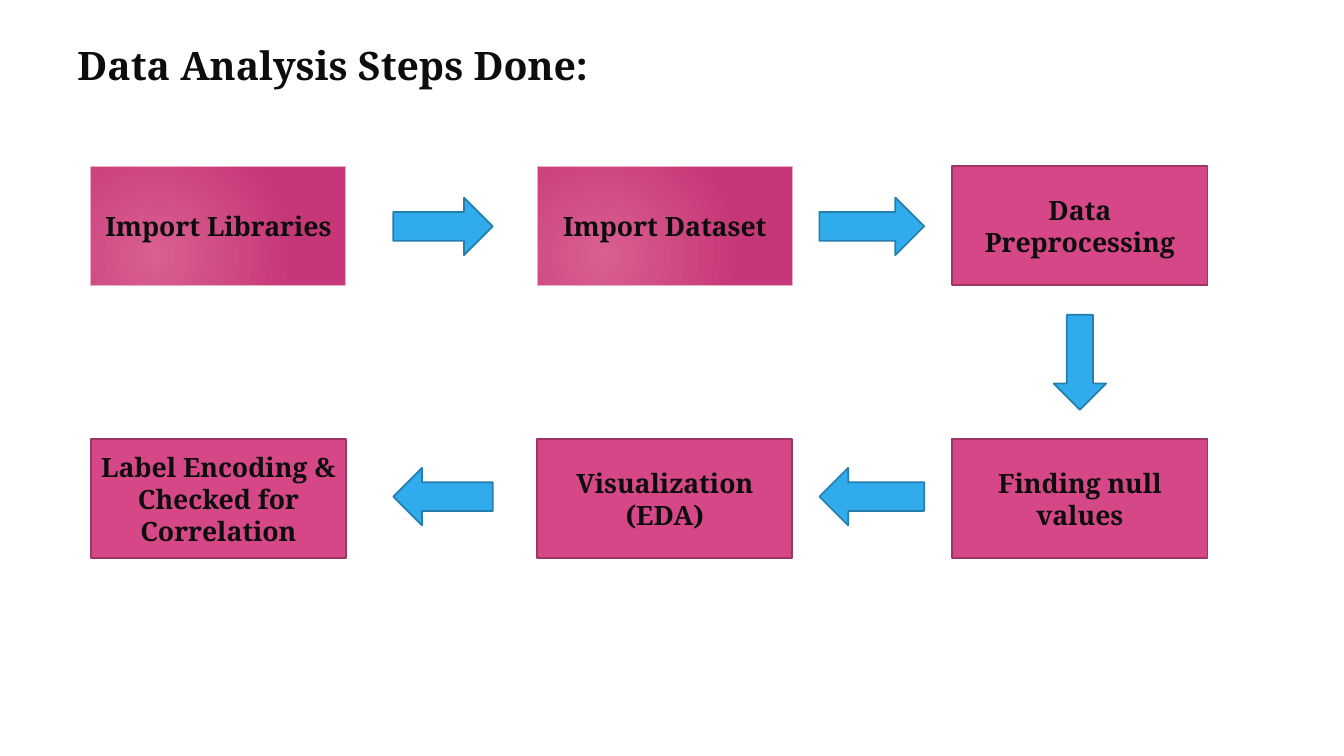
import pptx
import pptx.dml.color
import pptx.enum.shapes
import pptx.enum.text
import pptx.util
from lxml import etree

Cm, Pt = pptx.util.Cm, pptx.util.Pt
MSO = pptx.enum.shapes.MSO_SHAPE

TITLE = "Data Analysis Steps Done:"
ROWS = [
    (4.19, 4.98, MSO.RIGHT_ARROW,
     ["Import Libraries", "Import Dataset", "Data Preprocessing"]),
    (11.07, 11.79, MSO.LEFT_ARROW,
     ["Label Encoding & Checked for Correlation", "Visualization\n(EDA)",
      "Finding null values"]),
]
GRADIENT_STEPS = ["Import Libraries", "Import Dataset"]
BOX_LEFTS = [2.29, 13.54, 24.0]
BOX_W, BOX_H = 6.43, 3.0
ARROWS = [(9.91, 2.51), (20.65, 2.64)]
ARROW_H = 1.45
DOWN_W, DOWN_H = 1.32, 2.39

FONT, INK = "Noto Serif", "0D0D0D"
PINK, PINK_LINE, PALE_LINE = "D64787", "9E3564", "E8B1C3"
GLOW, DEEP = "D95F92", "C63777"
BLUE, BLUE_LINE = "30ACEC", "247FAF"


def rgb(value):
    return pptx.dml.color.RGBColor.from_string(value)


def set_text(tf, text, size, align):
    tf.word_wrap = True
    tf.text = text
    for p in tf.paragraphs:
        p.alignment = align
        p.font.name = FONT
        p.font.size = Pt(size)
        p.font.bold = True
        p.font.color.rgb = rgb(INK)


def add_shape(kind, x, y, w, h, fill, line, line_w=1.25):
    sp = slide.shapes.add_shape(kind, Cm(x), Cm(y), Cm(w), Cm(h))
    sp.shadow.inherit = False
    sp.fill.solid()
    sp.fill.fore_color.rgb = rgb(fill)
    sp.line.color.rgb = rgb(line)
    sp.line.width = Pt(line_w)
    return sp


def set_radial_fill(sp):
    sp.fill.gradient()
    for stop, color in zip(sp.fill.gradient_stops, (GLOW, DEEP)):
        stop.color.rgb = rgb(color)
    grad = sp.element.spPr.find(pptx.oxml.ns.qn("a:gradFill"))
    lin = grad.find(pptx.oxml.ns.qn("a:lin"))
    radial = etree.Element(pptx.oxml.ns.qn("a:path"), {"path": "circle"})
    etree.SubElement(radial, pptx.oxml.ns.qn("a:fillToRect"),
                     l="50000", t="100000", r="100000", b="50000")
    grad.replace(lin, radial)


def add_step(text, x, y):
    glowing = text in GRADIENT_STEPS
    line, line_w = (PALE_LINE, 0.75) if glowing else (PINK_LINE, 1.25)
    sp = add_shape(MSO.RECTANGLE, x, y, BOX_W, BOX_H, PINK, line, line_w)
    if glowing:
        set_radial_fill(sp)
    sp.text_frame.vertical_anchor = pptx.enum.text.MSO_ANCHOR.MIDDLE
    set_text(sp.text_frame, text, 19, pptx.enum.text.PP_ALIGN.CENTER)


prs = pptx.Presentation()
prs.slide_width, prs.slide_height = Cm(33.87), Cm(19.05)
slide = prs.slides.add_slide(prs.slide_layouts[6])

title = slide.shapes.add_textbox(Cm(1.7), Cm(0.91), Cm(17.81), Cm(1.45))
set_text(title.text_frame, TITLE, 28, pptx.enum.text.PP_ALIGN.LEFT)

for box_y, arrow_y, arrow, steps in ROWS:
    for text, x in zip(steps, BOX_LEFTS):
        add_step(text, x, box_y)
    for x, w in ARROWS:
        add_shape(arrow, x, arrow_y, w, ARROW_H, BLUE, BLUE_LINE)

down_x = BOX_LEFTS[-1] + (BOX_W - DOWN_W) / 2
down_y = (ROWS[0][0] + BOX_H + ROWS[1][0] - DOWN_H) / 2
add_shape(MSO.DOWN_ARROW, down_x, down_y, DOWN_W, DOWN_H, BLUE, BLUE_LINE)

prs.save("out.pptx")
